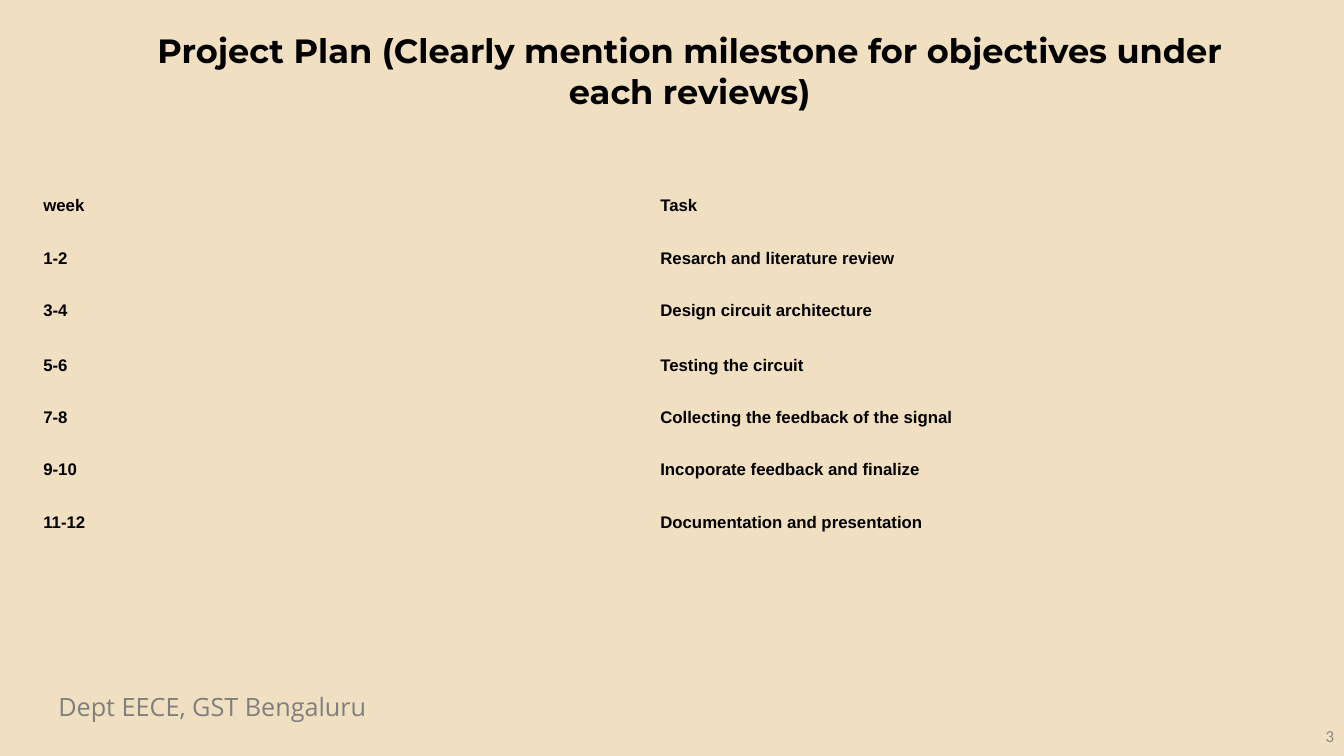
import pptx
import pptx.util
import pptx.dml.color
import pptx.enum.text
import pptx.oxml.ns

Inches, Pt = pptx.util.Inches, pptx.util.Pt
RGBColor = pptx.dml.color.RGBColor
ALIGN = pptx.enum.text.PP_ALIGN
ANCHOR = pptx.enum.text.MSO_ANCHOR

# Content
TITLE = "Project Plan (Clearly mention milestone for objectives under each reviews)"
DEPARTMENT = "Dept EECE, GST Bengaluru"
PAGE_NUMBER = "3"
PLAN = [
    ("week", "Task"),
    ("1-2", "Resarch and literature review"),
    ("3-4", "Design circuit architecture"),
    ("5-6", "Testing the circuit"),
    ("7-8", "Collecting the feedback of the signal"),
    ("9-10", "Incoporate feedback and finalize"),
    ("11-12", "Documentation and presentation"),
]

# Style
SAND = RGBColor(0xF0, 0xE0, 0xC1)
BLACK = RGBColor(0, 0, 0)
GREY = RGBColor(0x7F, 0x7F, 0x7F)
LIGHT_GREY = RGBColor(0x88, 0x88, 0x88)
NO_STYLE_NO_GRID = "{2D5ABB26-0587-4C30-8999-92F81FD0307C}"
COLUMN_WIDTH = 6.12
ROW_HEIGHT = 0.52
TALL_ROW, TALL_ROW_HEIGHT = 2, 0.54


def set_font(paragraph, name, size, color, bold=False):
    paragraph.font.name = name
    paragraph.font.size = Pt(size)
    paragraph.font.bold = bold
    paragraph.font.color.rgb = color


def add_text(slide, text, box, font, align=ALIGN.LEFT, anchor=ANCHOR.TOP):
    frame = slide.shapes.add_textbox(*map(Inches, box)).text_frame
    frame.word_wrap = True
    frame.vertical_anchor = anchor
    paragraph = frame.paragraphs[0]
    paragraph.text = text
    paragraph.alignment = align
    set_font(paragraph, *font)


def add_plan(slide):
    heights = [TALL_ROW_HEIGHT if row == TALL_ROW else ROW_HEIGHT
               for row in range(len(PLAN))]
    columns = len(PLAN[0])
    plan = slide.shapes.add_table(
        len(PLAN), columns, Inches(0.36), Inches(1.95),
        Inches(COLUMN_WIDTH * columns), Inches(sum(heights))).table
    style = plan._tbl.tblPr.find(pptx.oxml.ns.qn("a:tableStyleId"))
    style.text = NO_STYLE_NO_GRID
    plan.horz_banding = False
    for column in plan.columns:
        column.width = Inches(COLUMN_WIDTH)
    for row, height, entries in zip(plan.rows, heights, PLAN):
        row.height = Inches(height)
        for cell, entry in zip(row.cells, entries):
            cell.fill.background()
            cell.margin_left = cell.margin_right = Inches(0.07)
            cell.margin_top = cell.margin_bottom = 0
            cell.text = entry
            set_font(cell.text_frame.paragraphs[0], "Arial", 12, BLACK, True)


def main():
    deck = pptx.Presentation()
    deck.slide_width, deck.slide_height = Inches(13.33), Inches(7.5)
    slide = deck.slides.add_slide(deck.slide_layouts[6])
    slide.background.fill.solid()
    slide.background.fill.fore_color.rgb = SAND

    # Footer
    add_text(slide, DEPARTMENT, (0.48, 6.81, 5.24, 0.4), ("Open Sans", 18, GREY))
    add_text(slide, PAGE_NUMBER, (10.33, 7.1, 3, 0.4),
             ("Calibri", 12, LIGHT_GREY), ALIGN.RIGHT, ANCHOR.MIDDLE)

    # Title and plan
    add_text(slide, TITLE, (1.09, 0.25, 11.5, 0.54),
             ("Montserrat", 24, BLACK, True), ALIGN.CENTER)
    add_plan(slide)
    deck.save("out.pptx")


if __name__ == "__main__":
    main()
